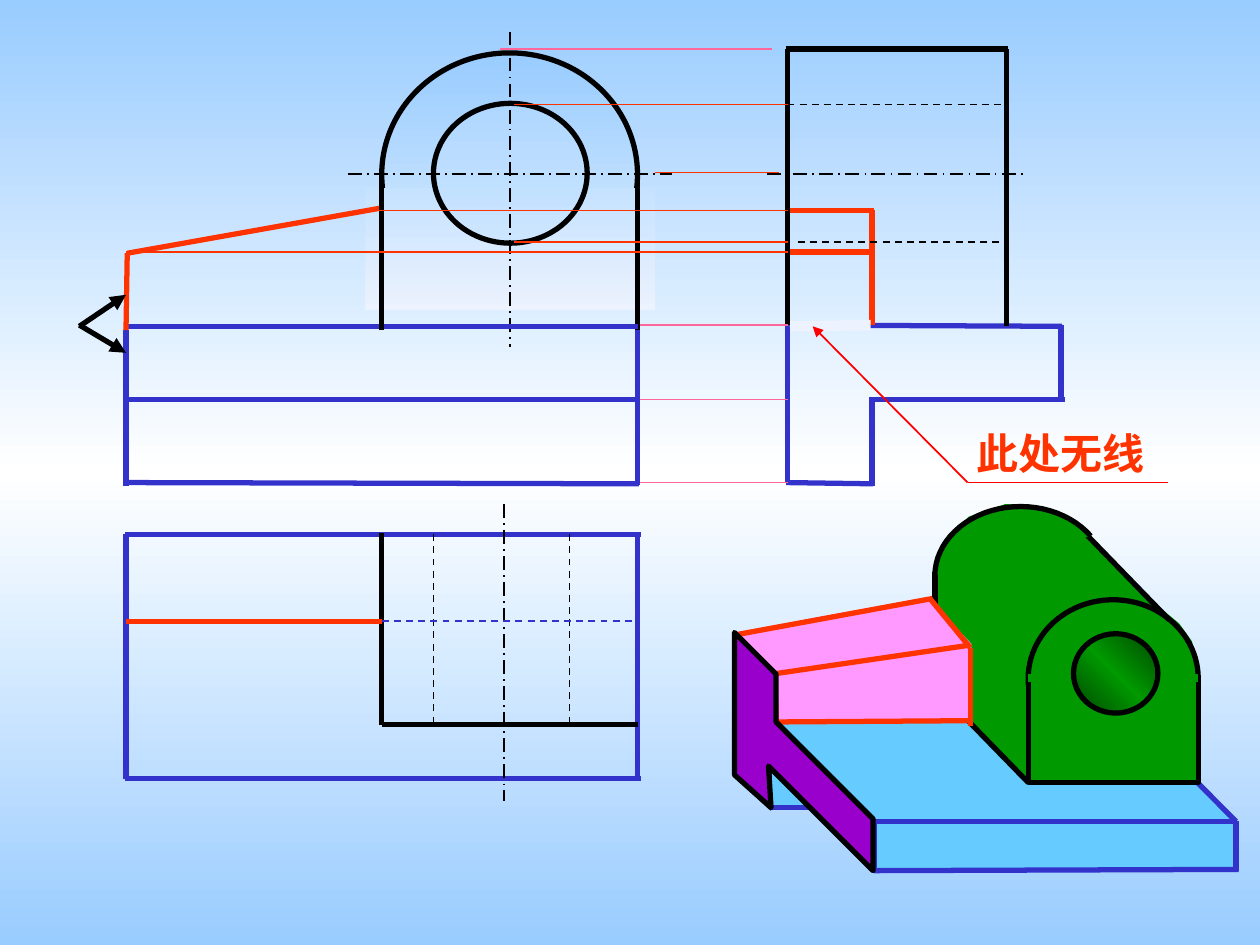
from copy import deepcopy
from dataclasses import dataclass
from math import cos, radians, sin

from lxml.etree import SubElement
from pptx import Presentation
from pptx.dml.color import RGBColor as RGB
from pptx.enum.dml import MSO_LINE
from pptx.enum.shapes import MSO_CONNECTOR, MSO_SHAPE
from pptx.enum.text import MSO_ANCHOR, PP_ALIGN
from pptx.oxml.ns import qn
from pptx.util import Pt

PX = 9144  # 100 px to the inch


class Theme:
    font, label_size = "Times New Roman", 24
    black, blue, orange, red, pink = "000000", "3333CC", "FF3300", "FF0000", "FF6699"
    green, dark_green, cyan, rose, purple = "009900", "004700", "66CCFF", "FF99FF", "9900CC"
    pale = "ECF2FE"
    backdrop = ["99CCFF", "FFFFFF", "99CCFF"]
    arch, mask, hole = ["99CCFF", "DEEFFE"], ["C5E2FF", pale], ["AFD7FF", "CDE6FF"]
    # pens: colour, width in points, dash
    edge, base, rib = (black, 3, None), (blue, 3, None), (orange, 3, None)
    axis = (black, 1, MSO_LINE.LONG_DASH_DOT)
    hidden, hidden_base = (black, 1, MSO_LINE.DASH), (blue, 1, MSO_LINE.DASH)
    rib_ray, axis_ray, base_ray = (orange, 1, None), (orange, 0.75, None), (pink, 1, None)
    leader, eraser, seam = (red, 1, None), (pale, 6, None), (green, 4.5, None)


def shade(fill, root, colors, angle):
    """Give evenly spaced gradient stops; angle runs counter-clockwise."""
    fill.gradient()
    fill.gradient_angle = angle
    stops = root.xpath(".//a:gsLst")[0]
    for _ in colors[2:]:
        stops.append(deepcopy(stops[0]))
    for i, (stop, color) in enumerate(zip(fill.gradient_stops, colors)):
        stop.position = i / (len(colors) - 1)
        stop.color.rgb = RGB.from_string(color)


def stroke(line, pen):
    if pen is None:
        line.fill.background()
        return
    color, width, dash = pen
    line.color.rgb = RGB.from_string(color)
    for name, value in {"width": Pt(width), "dash_style": dash}.items():
        setattr(line, name, value)


def paint(sp, fill, pen, angle=270):
    sp.shadow.inherit = False
    if isinstance(fill, list):
        shade(sp.fill, sp._element, fill, angle)
    else:
        sp.fill.solid()
        sp.fill.fore_color.rgb = RGB.from_string(fill)
    stroke(sp.line, pen)


@dataclass
class View:
    """A region of the slide; all drawing is relative to its corner."""
    slide: object
    left: int
    top: int

    def at(self, x, y):
        return (self.left + x) * PX, (self.top + y) * PX

    def lines(self, pen, *segments, arrow=None):
        for x1, y1, x2, y2 in segments:
            cx = self.slide.shapes.add_connector(
                MSO_CONNECTOR.STRAIGHT, *self.at(x1, y1), *self.at(x2, y2))
            stroke(cx.line, pen)
            SubElement(cx._element.spPr, qn("a:effectLst"))
            if arrow:
                SubElement(cx.line._get_or_add_ln(), qn(f"a:{arrow}"), type="triangle")

    def outline(self, points, fill, pen=None, close=True):
        start, *rest = [self.at(x, y) for x, y in points]
        fb = self.slide.shapes.build_freeform(*start)
        fb.add_line_segments(rest, close=close)
        paint(fb.convert_to_shape(), fill, pen)

    def shape(self, kind, x, y, w, h, fill, pen=None, angle=270):
        sp = self.slide.shapes.add_shape(kind, *self.at(x, y), w * PX, h * PX)
        paint(sp, fill, pen, angle)


def front_view(v):
    v.shape(MSO_SHAPE.OVAL, 203, 17, 203, 193, Theme.arch, Theme.edge)
    v.shape(MSO_SHAPE.RECTANGLE, 190, 124, 230, 97, Theme.mask)
    v.shape(MSO_SHAPE.OVAL, 244, 57, 122, 111, Theme.hole, Theme.edge)
    v.lines(Theme.axis, (176, 113, 433, 113), (305, 0, 305, 250))
    v.lines(Theme.edge, (406, 237, 406, 112))
    v.lines(Theme.base, (406, 234, 0, 234), (0, 237, 0, 361), (-1, 358, 407, 359),
            (406, 237, 406, 360), (0, 292, 406, 292))
    v.lines(Theme.rib, (0, 237, 1, 176), (203, 237, 203, 140), (1, 176, 203, 140))
    v.lines(Theme.edge, (203, 113, 203, 237))
    v.lines(Theme.edge, (-37, 234, 0, 209), (-37, 233, 0, 255), arrow="tailEnd")


def top_view(v):
    v.lines(Theme.base, (-1, 24, 409, 24), (0, 24, 0, 218),
            (-1, 218, 409, 218), (406, 218, 406, 24))
    v.lines(Theme.axis, (300, 0, 300, 236))
    v.lines(Theme.edge, (203, 23, 203, 175), (203, 175, 406, 175))
    v.lines(Theme.hidden, (244, 24, 244, 176), (352, 24, 352, 176))
    v.lines(Theme.rib, (0, 93, 203, 93))
    v.lines(Theme.hidden_base, (203, 93, 406, 93))


def side_view(v):
    v.lines(Theme.base, (0, 219, 218, 220), (0, 219, 0, 344), (-1, 344, 68, 345),
            (67, 347, 67, 278), (65, 278, 220, 278), (217, 278, 217, 219))
    v.lines(Theme.rib, (0, 128, 69, 128), (67, 128, 67, 219), (0, 161, 67, 161))
    v.lines(Theme.eraser, (2, 220, 66, 219))
    v.lines(Theme.axis, (-16, 99, 188, 99))
    v.lines(Theme.hidden, (0, 44, 175, 44), (8, 153, 175, 153))
    v.lines(Theme.edge, (-1, 0, 175, 0), (174, 220, 174, 0), (0, 219, 0, 0))


def projection_rays(v):
    """Level lines that carry heights from the front view to the side view."""
    v.lines(Theme.base_ray, (297, 0, 513, 0), *[(408, y, 525, y) for y in (219, 278, 344)])
    v.lines(Theme.axis_ray, (420, 98, 518, 98))
    v.lines(Theme.rib_ray, *[(x, y, 525, y) for x, y in
                             ((308, 44), (308, 153), (200, 128), (0, 161))])


def solid_base(v):
    v.outline([(30, 210), (26, 239), (64, 242)], Theme.cyan)
    v.outline([(3, 140), (0, 210), (29, 239), (32, 213), (112, 291), (396, 291),
               (399, 252), (289, 140)], Theme.cyan)
    v.lines(Theme.base, (111, 252, 398, 252), (111, 252, 111, 291), (1, 141, 288, 141),
            (288, 141, 398, 252), (1, 142, 111, 252), (398, 252, 398, 291),
            (111, 291, 400, 290), (1, 142, 1, 216), (2, 215, 30, 242),
            (112, 291, 29, 208), (28, 208, 28, 241), (28, 241, 62, 241))


def solid_bearing(v):
    v.outline([(159, 144), (232, 221), (368, 219), (368, 132), (363, 109), (353, 95),
               (341, 85), (263, 10), (241, 2), (215, 0), (186, 10), (169, 27),
               (159, 52)], Theme.green)
    v.shape(MSO_SHAPE.OVAL, 233, 76, 135, 125, Theme.green, Theme.edge)
    v.shape(MSO_SHAPE.RECTANGLE, 233, 138, 135, 83, Theme.green, Theme.edge)
    v.lines(Theme.seam, (233, 138, 368, 138))
    v.lines(Theme.edge, (233, 221, 159, 145), (345, 92, 280, 25), (159, 147, 159, 54))
    angles = [radians(a) for a in range(180, 326, 5)]
    v.outline([(227 + 68 * cos(a), 57 + 55 * sin(a)) for a in angles],
              Theme.green, Theme.edge, close=False)
    v.shape(MSO_SHAPE.OVAL, 269, 103, 67, 63,
            [Theme.dark_green, Theme.green, Theme.dark_green], Theme.edge, angle=45)


def solid_rib(v):
    v.outline([(0, 102), (2, 146), (30, 172), (187, 174), (188, 111), (153, 74)], Theme.rose)
    v.lines(Theme.rib, (31, 173, 187, 172), (187, 176, 187, 114), (33, 174, 32, 134),
            (30, 135, 187, 112), (32, 135, 2, 105), (187, 114, 155, 75),
            (0, 104, 157, 75), (2, 146, 2, 102), (33, 172, 3, 143))
    v.outline([(0, 102), (0, 215), (29, 241), (27, 208), (110, 291), (110, 250),
               (33, 173), (33, 135)], Theme.purple, Theme.edge)


def no_line_callout(v):
    v.lines(Theme.leader, (0, 0, 123, 124), arrow="headEnd")
    v.lines(Theme.leader, (123, 124, 282, 124))
    tf = v.slide.shapes.add_textbox(*v.at(120, 75), 153 * PX, 50 * PX).text_frame
    tf.word_wrap = False
    tf.vertical_anchor = MSO_ANCHOR.MIDDLE
    p = tf.paragraphs[0]
    p.alignment = PP_ALIGN.CENTER
    r = p.add_run()
    r.text = "此处无线"
    for name, value in {"name": Theme.font, "size": Pt(Theme.label_size), "bold": True}.items():
        setattr(r.font, name, value)
    r.font.color.rgb = RGB.from_string(Theme.orange)


def main():
    prs = Presentation()
    prs.slide_width, prs.slide_height = 1000 * PX, 750 * PX
    s = prs.slides.add_slide(prs.slide_layouts[6])
    shade(s.background.fill, s._element, Theme.backdrop, 270)
    front_view(View(s, 100, 25))
    top_view(View(s, 100, 400))
    side_view(View(s, 625, 39))
    projection_rays(View(s, 100, 39))
    solid = View(s, 583, 400)
    for draw in (solid_base, solid_bearing, solid_rib):
        draw(solid)
    no_line_callout(View(s, 645, 259))
    prs.save("out.pptx")


if __name__ == "__main__":
    main()
